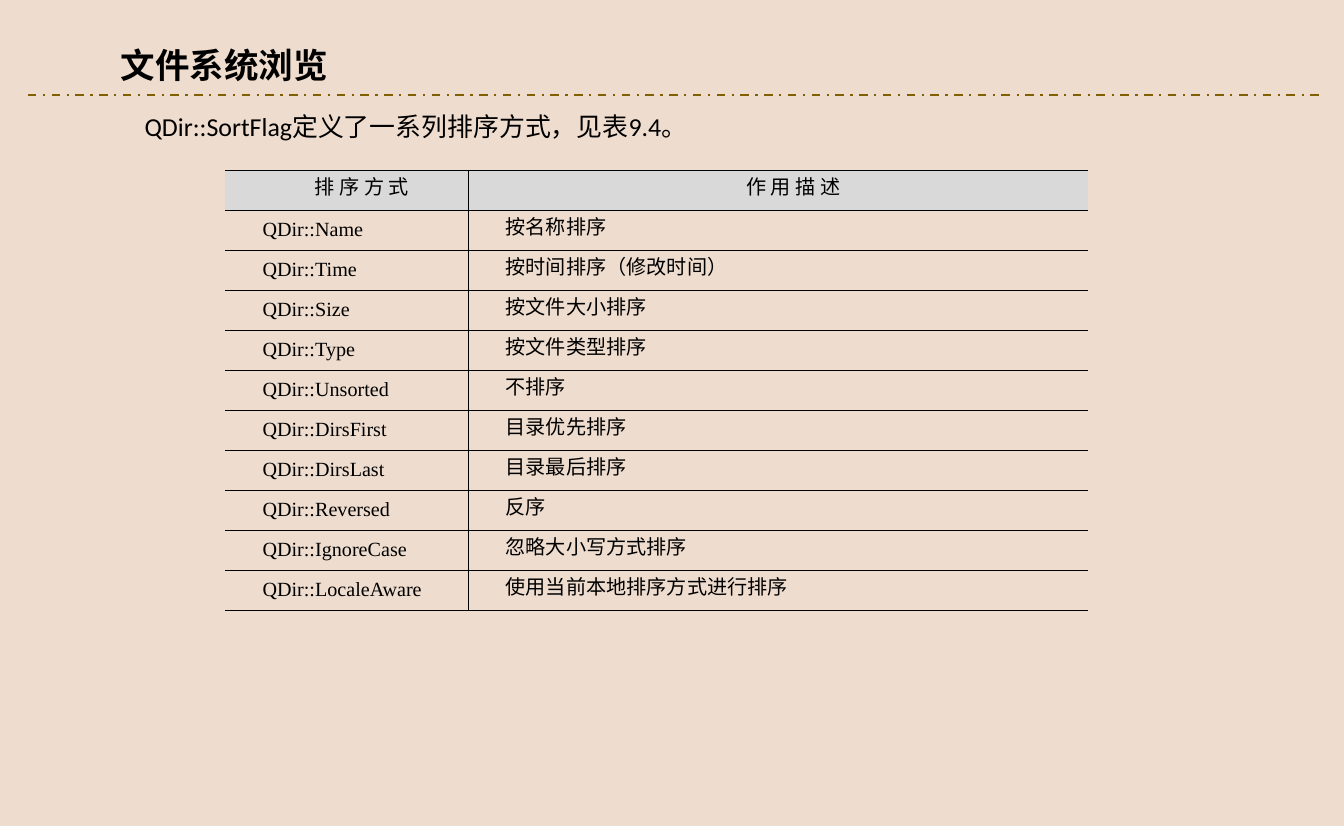
from typing import NamedTuple

from pptx import Presentation
from pptx import oxml
from pptx.dml.color import RGBColor
from pptx.enum import dml, shapes, text
from pptx.oxml import ns
from pptx.util import Pt

SAND = RGBColor(0xEE, 0xDC, 0xCE)
GRAY = RGBColor(0xD9, 0xD9, 0xD9)
OLIVE = RGBColor(0x80, 0x60, 0x00)
BLACK = RGBColor(0, 0, 0)


class Box(NamedTuple):
    left: float
    top: float
    width: float
    height: float


class Sort(NamedTuple):
    flag: str
    use: str


HEAD = Sort("排 序 方 式", "作 用 描 述")
SORTS = [
    Sort("QDir::Name", "按名称排序"),
    Sort("QDir::Time", "按时间排序（修改时间）"),
    Sort("QDir::Size", "按文件大小排序"),
    Sort("QDir::Type", "按文件类型排序"),
    Sort("QDir::Unsorted", "不排序"),
    Sort("QDir::DirsFirst", "目录优先排序"),
    Sort("QDir::DirsLast", "目录最后排序"),
    Sort("QDir::Reversed", "反序"),
    Sort("QDir::IgnoreCase", "忽略大小写方式排序"),
    Sort("QDir::LocaleAware", "使用当前本地排序方式进行排序"),
]
WIDTHS = (169.2, 431.3)
ROW = 27.87


def style(para, font: str, size: float, bold: bool = False) -> None:
    for run in para.runs:
        run.font.name = font
        run.font.size = Pt(size)
        run.font.bold = bold
        run.font.color.rgb = BLACK


def indent(para, first: float) -> None:
    props = para._p.get_or_add_pPr()
    props.set("marL", "0")
    props.set("indent", str(Pt(first)))


def place(shape, box: Box, words: str, size: float, bold: bool = False):
    """Move a placeholder, fill it and return its paragraph."""
    shape.left, shape.top, shape.width, shape.height = map(Pt, box)
    frame = shape.text_frame
    frame.text = words
    frame.auto_size = text.MSO_AUTO_SIZE.NONE
    frame.vertical_anchor = text.MSO_ANCHOR.TOP
    para = frame.paragraphs[0]
    para.alignment = text.PP_ALIGN.LEFT
    para.space_before = Pt(0)
    style(para, "Calibri", size, bold)
    return para


def border(cell, drawn: dict[str, bool]) -> None:
    """Give each side a thin black line or none."""
    props = cell._tc.get_or_add_tcPr()
    for spot, (side, seen) in enumerate(drawn.items()):
        fill = (f'<a:solidFill><a:srgbClr val="{BLACK}"/></a:solidFill>'
                if seen else "<a:noFill/>")
        line = oxml.parse_xml(
            f'<a:ln{side} {ns.nsdecls("a")} w="{Pt(1)}">{fill}</a:ln{side}>')
        props.insert(spot, line)


def write(cell, words: str, head: bool) -> None:
    cell.text_frame.text = words
    cell.margin_left = cell.margin_right = Pt(5)
    cell.margin_top = cell.margin_bottom = Pt(0)
    cell.vertical_anchor = text.MSO_ANCHOR.MIDDLE
    para = cell.text_frame.paragraphs[0]
    para.alignment = text.PP_ALIGN.CENTER if head else text.PP_ALIGN.JUSTIFY
    para.line_spacing = Pt(14)
    indent(para, 21)
    style(para, "Times New Roman", 14)
    if head:
        cell.fill.solid()
        cell.fill.fore_color.rgb = GRAY
    else:
        cell.fill.background()


def grid(slide, left: float, top: float) -> None:
    rows = [HEAD, *SORTS]
    frame = slide.shapes.add_table(
        len(rows), len(WIDTHS), Pt(left), Pt(top),
        Pt(sum(WIDTHS)), Pt(ROW * len(rows)))
    table = frame.table
    table.first_row = table.horz_banding = False
    for col, width in zip(table.columns, WIDTHS):
        col.width = Pt(width)
    for r, sort in enumerate(rows):
        table.rows[r].height = Pt(ROW)
        for c, words in enumerate(sort):
            cell = table.cell(r, c)
            write(cell, words, r == 0)
            border(cell, {"L": c > 0, "R": c < len(WIDTHS) - 1,
                          "T": True, "B": True})


def rule(slide, start: float, end: float, y: float) -> None:
    line = slide.shapes.add_connector(
        shapes.MSO_CONNECTOR.STRAIGHT, Pt(start), Pt(y), Pt(end), Pt(y))
    line.line.color.rgb = OLIVE
    line.line.width = Pt(1.5)
    line.line.dash_style = dml.MSO_LINE.DASH_DOT
    line._element.spPr.append(
        oxml.parse_xml(f'<a:effectLst {ns.nsdecls("a")}/>'))


def main() -> None:
    deck = Presentation()
    deck.slide_width, deck.slide_height = Pt(935.3), Pt(575.05)
    slide = deck.slides.add_slide(deck.slide_layouts[1])
    slide.background.fill.solid()
    slide.background.fill.fore_color.rgb = SAND

    # Title and the line under it
    title = slide.shapes.title
    place(title, Box(76.8, 26.8, 160, 36), "文件系统浏览", 24, True)
    title.text_frame.word_wrap = False
    rule(slide, 19.4, 920.9, 66.2)

    # Lead sentence, without a bullet
    lead = place(slide.placeholders[1], Box(93.4, 73.4, 396, 28.8),
                 "QDir::SortFlag定义了一系列排序方式，见表9.4。", 18)
    indent(lead, 0)
    lead._p.get_or_add_pPr().append(
        oxml.parse_xml(f'<a:buNone {ns.nsdecls("a")}/>'))

    # Table of sort flags
    grid(slide, 156.7, 118.6)
    deck.save("out.pptx")


if __name__ == "__main__":
    main()
